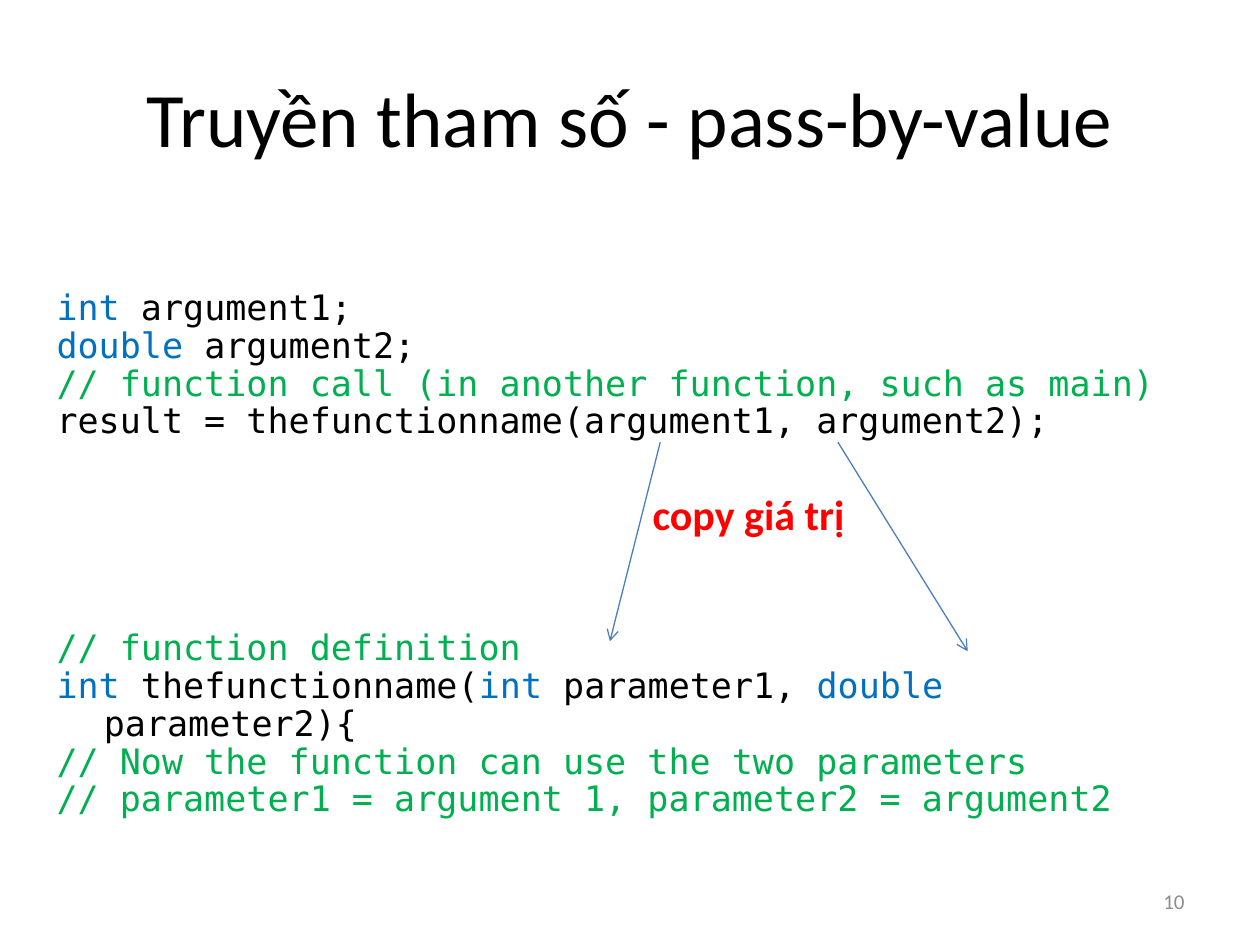
from lxml.etree import SubElement
from pptx import Presentation
from pptx.dml.color import RGBColor
from pptx.enum.shapes import MSO_CONNECTOR
from pptx.enum.text import MSO_ANCHOR, PP_ALIGN
from pptx.oxml.ns import qn
from pptx.util import Pt

BLACK, BLUE, GREEN = "000000", "0070C0", "00B050"
LINE_PITCH = 21.6
HANGING_INDENT = 27
CALL_LINES = [
    [("int", BLUE), (" argument1;", BLACK)],
    [("double", BLUE), (" argument2;", BLACK)],
    [("// function call (in another function, such as main)", GREEN)],
    [("result = thefunctionname(argument1, argument2);", BLACK)],
]
DEFINITION_LINES = [
    [("// function definition", GREEN)],
    [("int ", BLUE), ("thefunctionname(", BLACK), ("int", BLUE),
     (" parameter1, ", BLACK), ("double", BLUE), (" parameter2){", BLACK)],
    [("// Now the function can use the two parameters", GREEN)],
    [("// parameter1 = argument 1, parameter2 = argument2", GREEN)],
]


def color(hex_string):
    """Return the colour for a hex string."""
    return RGBColor.from_string(hex_string)


def format_font(font, size, hex_string, name="Calibri", bold=False):
    """Set the face, size, weight and colour of a font."""
    font.name, font.size, font.bold = name, Pt(size), bold
    font.color.rgb = color(hex_string)


def place(shape, box):
    """Move and size a shape to a box in points."""
    shape.left, shape.top, shape.width, shape.height = map(Pt, box)


def add_title(slide, box, text):
    """Fill and place the title placeholder."""
    title = slide.shapes.title
    place(title, box)
    title.text_frame.text = text
    title.text_frame.vertical_anchor = MSO_ANCHOR.MIDDLE
    paragraph = title.text_frame.paragraphs[0]
    paragraph.alignment = PP_ALIGN.CENTER
    format_font(paragraph.runs[0].font, 44, BLACK)


def add_label(slide, box, text, size, hex_string, bold=False,
              alignment=PP_ALIGN.LEFT, anchor=MSO_ANCHOR.TOP):
    """Add a one-line text box."""
    text_frame = slide.shapes.add_textbox(*map(Pt, box)).text_frame
    text_frame.word_wrap = True
    text_frame.vertical_anchor = anchor
    text_frame.text = text
    paragraph = text_frame.paragraphs[0]
    paragraph.alignment = alignment
    format_font(paragraph.runs[0].font, size, hex_string, bold=bold)


def add_code(slide, box, blocks, gap_lines):
    """Add blocks of coloured code with a gap between blocks."""
    text_frame = slide.shapes.add_textbox(*map(Pt, box)).text_frame
    text_frame.word_wrap = True
    paragraph = text_frame.paragraphs[0]
    for block_index, block in enumerate(blocks):
        for line_index, line in enumerate(block):
            if block_index or line_index:
                paragraph = text_frame.add_paragraph()
            properties = paragraph._p.get_or_add_pPr()
            properties.set("marL", str(Pt(HANGING_INDENT)))
            properties.set("indent", str(Pt(-HANGING_INDENT)))
            paragraph.line_spacing = Pt(LINE_PITCH)
            if block_index and not line_index:
                paragraph.space_before = Pt(gap_lines * LINE_PITCH)
            for text, hex_string in line:
                run = paragraph.add_run()
                run.text = text
                format_font(run.font, 20, hex_string, "DejaVu Sans Mono")


def add_arrow(slide, start, end):
    """Add a thin arrow between two points."""
    arrow = slide.shapes.add_connector(
        MSO_CONNECTOR.STRAIGHT, *map(Pt, start + end))
    arrow.line.color.rgb = color("4B7EBC")
    arrow.line.width = Pt(0.75)
    SubElement(arrow.line._get_or_add_ln(), qn("a:tailEnd"), type="arrow")
    SubElement(arrow._element.spPr, qn("a:effectLst"))


def add_copy_diagram(slide, box):
    """Add the arrows from arguments to parameters and their label."""
    left, top, width, height = box
    add_arrow(slide, (left + 130.3, top), (left + width, top + height))
    add_arrow(slide, (left + 28.8, top), (left, top + 113.8))
    add_label(slide, (left + 17.3, top + 23, 142, 36), "copy giá trị",
              24, "FF0000", bold=True)


def main():
    """Build and save the slide."""
    presentation = Presentation()
    presentation.slide_width, presentation.slide_height = Pt(720), Pt(540)
    slide = presentation.slides.add_slide(presentation.slide_layouts[5])
    add_title(slide, (36, 21.6, 648, 90), "Truyền tham số - pass-by-value")
    add_code(slide, (25.2, 162, 663, 291), [CALL_LINES, DEFINITION_LINES], 5)
    add_copy_diagram(slide, (348.5, 252.7, 204.5, 119.5))
    add_label(slide, (516, 500.5, 168, 28.8), "10", 12, "8C8C8C",
              alignment=PP_ALIGN.RIGHT, anchor=MSO_ANCHOR.MIDDLE)
    presentation.save("out.pptx")


if __name__ == "__main__":
    main()
